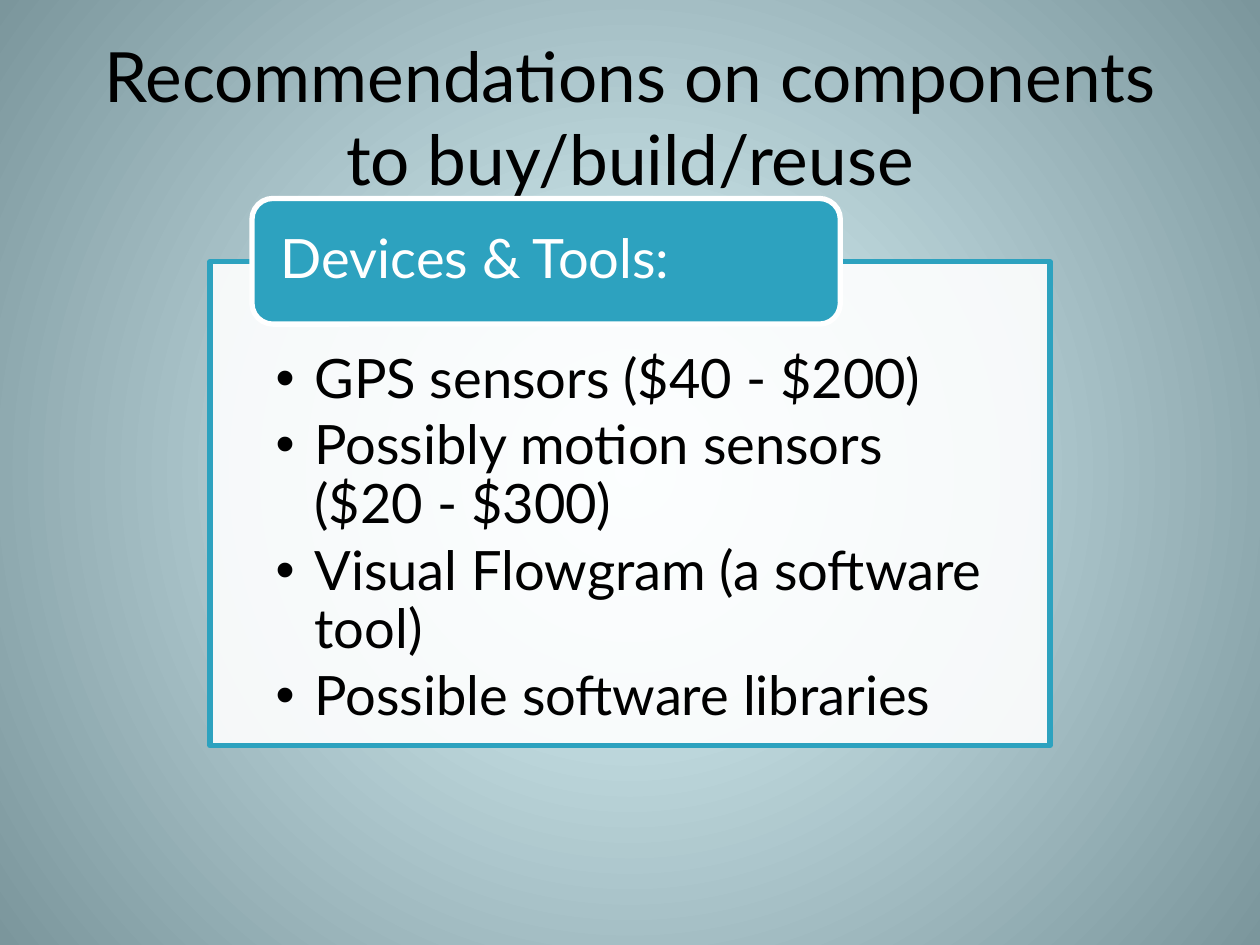
from lxml import etree
from pptx import Presentation
from pptx import util as u
from pptx.dml.color import RGBColor
from pptx.enum import shapes, text
from pptx.oxml.ns import qn

TEAL, WHITE, BLACK = "2DA2BF", "FFFFFF", "000000"
DEVICES = [
    "GPS sensors ($40 - $200)",
    "Possibly motion sensors ($20 - $300)",
    "Visual Flowgram (a software tool)",
    "Possible software libraries",
]


def paint(fill, colour):
    fill.solid()
    fill.fore_color.rgb = RGBColor.from_string(colour)


def format_text(tf, size, colour, anchor, insets, align, spacing=1.0, after=0):
    """Apply one look to a text frame; insets are left, top, right, bottom in inches."""
    tf.word_wrap = True
    tf.auto_size = text.MSO_AUTO_SIZE.NONE
    tf.vertical_anchor = anchor
    tf.margin_left, tf.margin_top, tf.margin_right, tf.margin_bottom = map(u.Inches, insets)
    for p in tf.paragraphs:
        p.alignment = align
        p.line_spacing = spacing
        p.space_before, p.space_after = u.Pt(0), u.Pt(after)
        p.font.name, p.font.size = "Lato", u.Pt(size)
        p.font.color.rgb = RGBColor.from_string(colour)


prs = Presentation()
prs.slide_width, prs.slide_height = u.Inches(10), u.Inches(7.5)
W, H = prs.slide_width, prs.slide_height
s = prs.slides.add_slide(prs.slide_layouts[1])

# Background: circular gradient from the centre
bg = s.background.fill
bg.gradient()
for stop, position, colour in zip(bg.gradient_stops, (0, 1), ("E1FAFF", "7B969C")):
    stop.position = position
    stop.color.rgb = RGBColor.from_string(colour)
grad = s.element.find(".//" + qn("a:gradFill"))
grad.remove(grad.find(qn("a:lin")))
circle = etree.SubElement(grad, qn("a:path"), path="circle")
etree.SubElement(circle, qn("a:fillToRect"), l="50000", t="50000", r="50000", b="50000")

# Title
title = s.shapes.title
title.left, title.top = int(W * 0.05), int(H * 0.04)
title.width, title.height = int(W * 0.9), int(H / 6)
title.text_frame.text = "Recommendations on components to buy/build/reuse"
format_text(title.text_frame, 39.6, BLACK, text.MSO_ANCHOR.MIDDLE,
            (0.1, 0.04, 0.1, 0.05), text.PP_ALIGN.CENTER)

# Framed device list
body = s.placeholders[1]
body.left, body.top = int(W / 6), int(H * 0.277)
body.width, body.height = int(W * 2 / 3), int(H * 0.512)
paint(body.fill, WHITE)
white = body.element.find(".//" + qn("a:solidFill"))[0]
etree.SubElement(white, qn("a:alpha"), val="90000")
paint(body.line.fill, TEAL)
body.line.width = u.Pt(3)
body.text_frame.text = "\n".join(DEVICES)
format_text(body.text_frame, 31, BLACK, text.MSO_ANCHOR.TOP,
            (0.52, 0.71, 0.52, 0.24), text.PP_ALIGN.LEFT, 0.9, 4.65)
hang = u.Inches(0.31)
for p in body.text_frame.paragraphs:
    pPr = p._p.get_or_add_pPr()
    pPr.set("marL", str(hang))
    pPr.set("indent", str(-hang))

# Heading tab over the frame's top edge
tab = s.shapes.add_shape(shapes.MSO_SHAPE.ROUNDED_RECTANGLE,
                         int(W * 0.2), int(H * 0.21), int(W * 0.467), int(H * 0.133))
tab.shadow.inherit = False
paint(tab.fill, TEAL)
paint(tab.line.fill, WHITE)
tab.line.width = u.Pt(3)
tab.text_frame.text = "Devices & Tools:"
format_text(tab.text_frame, 31, WHITE, text.MSO_ANCHOR.MIDDLE,
            (0.18, 0, 0.18, 0), text.PP_ALIGN.LEFT, 0.9)

prs.save("out.pptx")
